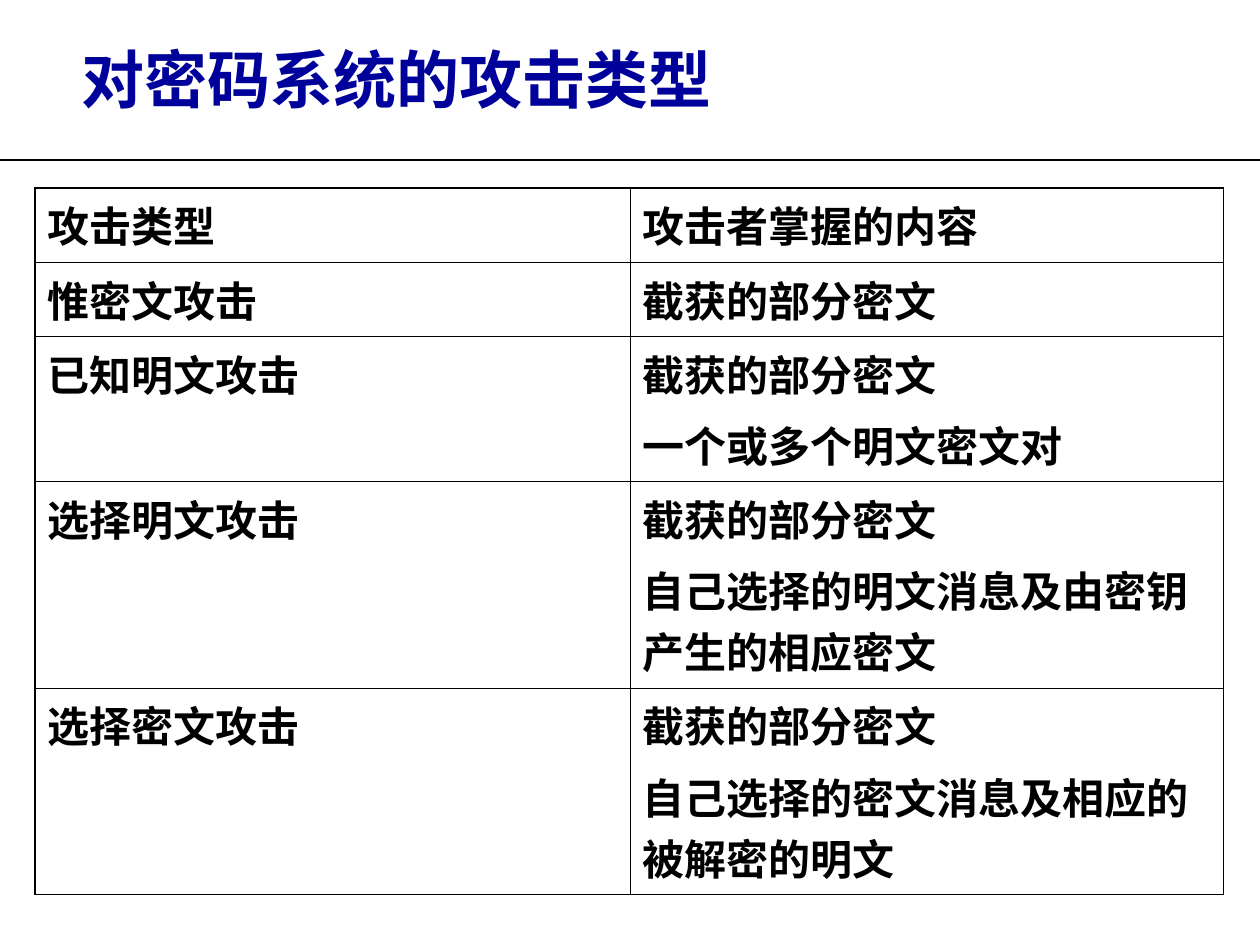
from dataclasses import dataclass

from lxml.etree import SubElement
from pptx import Presentation
from pptx.dml.color import RGBColor
from pptx.enum.shapes import MSO_CONNECTOR as Connector
from pptx.enum.text import MSO_ANCHOR as Anchor
from pptx.oxml import parse_xml
from pptx.oxml.ns import nsdecls, qn
from pptx.util import Inches, Pt


@dataclass(frozen=True)
class Theme:
    ink: RGBColor = RGBColor(0, 0, 0)
    title_color: RGBColor = RGBColor(0x00, 0x00, 0x9A)
    paper: RGBColor = RGBColor(0xFF, 0xFF, 0xFF)
    title_font: str = "Karla"
    body_font: str = "Arial"
    title_size: Pt = Pt(36)
    body_size: Pt = Pt(24)
    para_gap: Pt = Pt(6)
    rule_width: Pt = Pt(1.5)
    outer_border: Pt = Pt(1.08)
    inner_border: Pt = Pt(0.45)


class PageBuilder:
    def __init__(self, page, theme):
        self.page = page
        self.theme = theme

    def style_font(self, font, name, size, color):
        font.name, font.size, font.bold = name, size, True
        font.color.rgb = color

    def rule(self, y, width):
        line = self.page.shapes.add_connector(
            Connector.STRAIGHT, Inches(0), Inches(y), Inches(width), Inches(y))
        line.line.color.rgb = self.theme.ink
        line.line.width = self.theme.rule_width
        SubElement(line._element.spPr, qn("a:effectLst"))

    def title(self, text, left, top, width, height):
        box = self.page.shapes.add_textbox(
            Inches(left), Inches(top), Inches(width), Inches(height))
        frame = box.text_frame
        frame.word_wrap = True
        frame.vertical_anchor = Anchor.MIDDLE
        frame.margin_left = frame.margin_right = Inches(0.25)
        frame.margin_top = frame.margin_bottom = Inches(0.1)
        para = frame.paragraphs[0]
        para.text = text
        self.style_font(para.font, self.theme.title_font,
                        self.theme.title_size, self.theme.title_color)

    def table(self, rows, left, top, widths, heights):
        """Draw a table whose cells are lists of paragraphs."""
        frame = self.page.shapes.add_table(
            len(rows), len(widths), Inches(left), Inches(top),
            Inches(sum(widths)), Inches(sum(heights)))
        table = frame.table
        table.first_row = table.horz_banding = False
        for column, width in zip(table.columns, widths):
            column.width = Inches(width)
        for row, height in zip(table.rows, heights):
            row.height = Inches(height)
        last_row, last_column = len(rows) - 1, len(widths) - 1
        for r, texts in enumerate(rows):
            for c, lines in enumerate(texts):
                cell = table.cell(r, c)
                self.fill_cell(cell, lines)
                self.cell_borders(cell, {"L": c == 0, "R": c == last_column,
                                         "T": r == 0, "B": r == last_row})

    def fill_cell(self, cell, lines):
        cell.fill.solid()
        cell.fill.fore_color.rgb = self.theme.paper
        cell.text = "\n".join(lines)
        for index, para in enumerate(cell.text_frame.paragraphs):
            if index:
                para.space_before = self.theme.para_gap
            self.style_font(para.font, self.theme.body_font,
                            self.theme.body_size, self.theme.ink)

    def cell_borders(self, cell, outer_sides):
        properties = cell._tc.get_or_add_tcPr()
        for index, (side, is_outer) in enumerate(outer_sides.items()):
            width = self.theme.outer_border if is_outer else self.theme.inner_border
            properties.insert(index, parse_xml(
                f'<a:ln{side} {nsdecls("a")} w="{int(width)}"><a:solidFill>'
                f'<a:srgbClr val="{self.theme.ink}"/></a:solidFill></a:ln{side}>'))


INTERCEPTED = "截获的部分密文"
ATTACKS = [
    (["攻击类型"], ["攻击者掌握的内容"]),
    (["惟密文攻击"], [INTERCEPTED]),
    (["已知明文攻击"], [INTERCEPTED, "一个或多个明文密文对"]),
    (["选择明文攻击"], [INTERCEPTED, "自己选择的明文消息及由密钥产生的相应密文"]),
    (["选择密文攻击"], [INTERCEPTED, "自己选择的密文消息及相应的被解密的明文"]),
]


def main():
    deck = Presentation()
    deck.slide_width, deck.slide_height = Inches(10), Inches(7.5)
    page = deck.slides.add_slide(deck.slide_layouts[6])
    builder = PageBuilder(page, Theme())
    builder.rule(1.27, 10)
    builder.title("对密码系统的攻击类型", 0.4, 0, 9.6, 1.25)
    builder.table(ATTACKS, 0.28, 1.49, widths=[4.72, 4.71],
                  heights=[0.59, 0.59, 1.15, 1.64, 1.64])
    deck.save("out.pptx")


if __name__ == "__main__":
    main()
